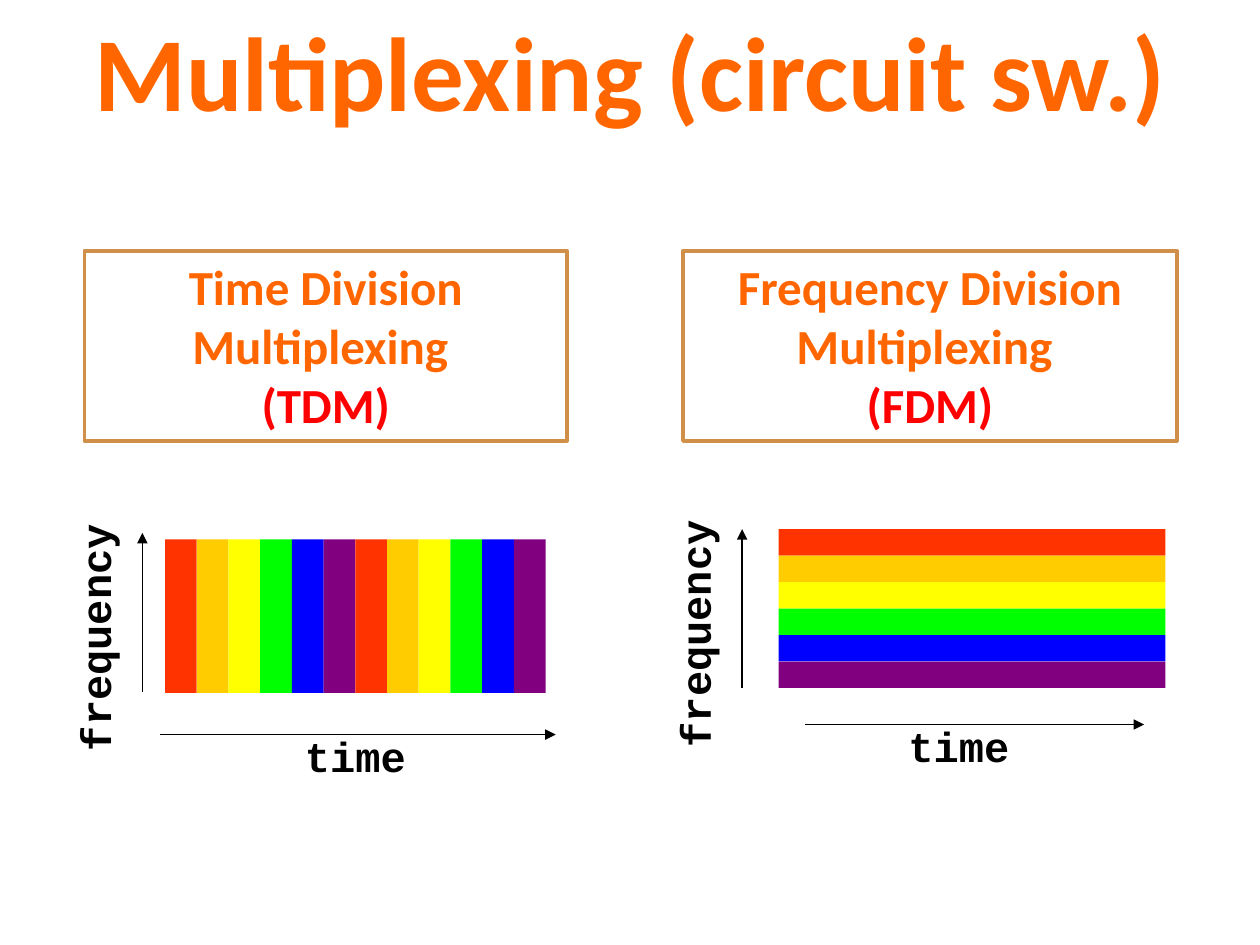
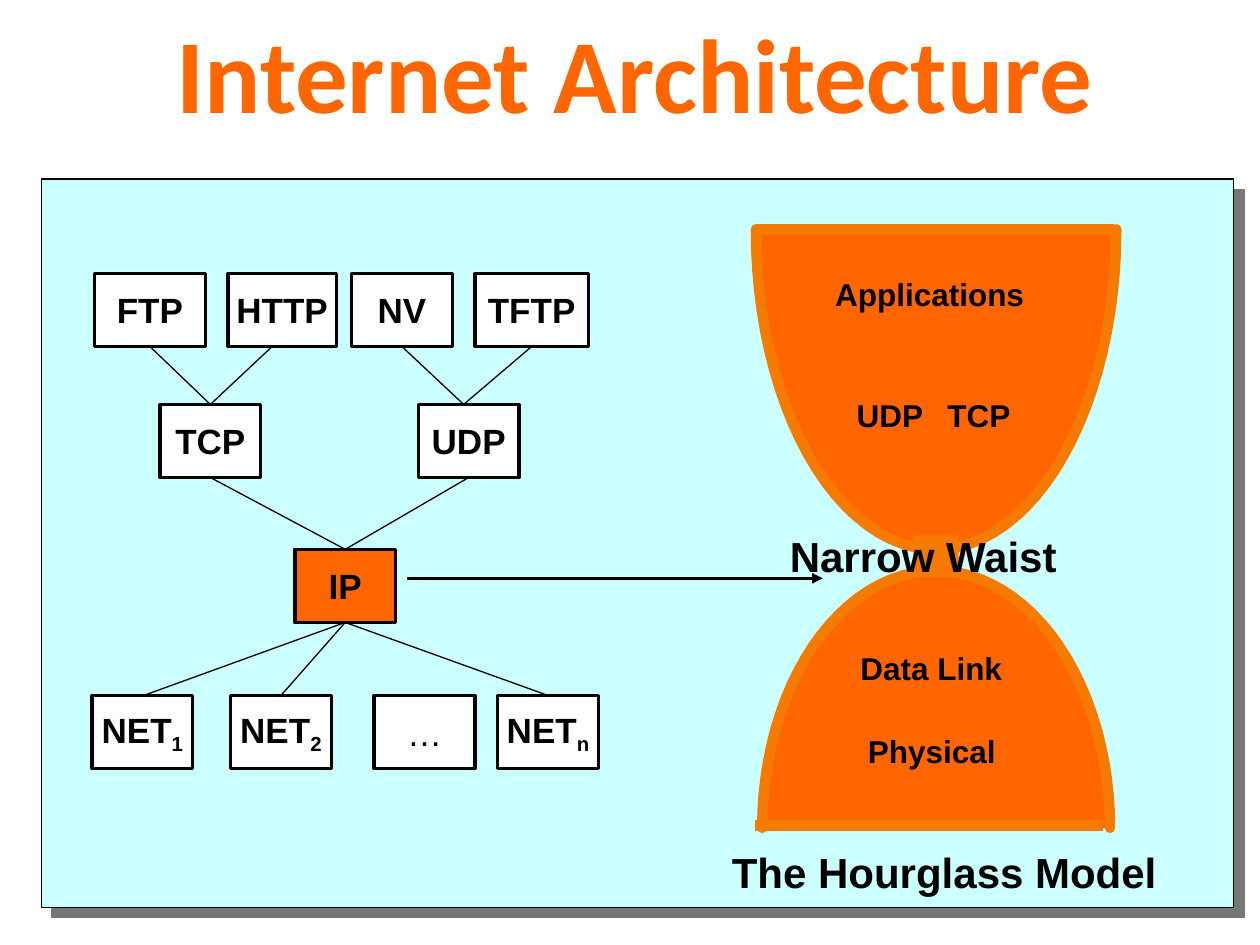
from dataclasses import dataclass
from math import cos, pi, sin

from lxml.etree import SubElement
from pptx import Presentation
from pptx.dml.color import RGBColor
from pptx.enum.shapes import MSO_CONNECTOR, MSO_SHAPE
from pptx.enum.text import MSO_ANCHOR, MSO_AUTO_SIZE, PP_ALIGN
from pptx.oxml.ns import qn
from pptx.util import Inches, Pt


@dataclass(frozen=True)
class Theme:
    orange: str = "FF6600"
    rim: str = "F47A00"
    red: str = "FF0000"
    tan: str = "D19049"
    black: str = "000000"
    white: str = "FFFFFF"
    panel: str = "CCFFFF"
    shadow: str = "777777"
    bands: tuple = ("FF3300", "FFCC00", "FFFF00", "00FF00", "0000FF", "800080")
    heading_font: str = "Calibri"
    axis_font: str = "Courier New"
    diagram_font: str = "Arial"
    title_size: int = 60
    heading_size: int = 28
    large_size: int = 24
    node_size: int = 20
    layer_size: int = 18
    thin: float = 0.75
    medium: float = 2
    thick: float = 6


theme = Theme()


def add_label(slide, text, at, font=theme.diagram_font, size=theme.large_size,
              color=theme.black, last_color=None, bold=True, subscript="",
              align=PP_ALIGN.CENTER, anchor=MSO_ANCHOR.TOP, wrap=False,
              fill=None, line=None, weight=theme.medium, rotation=0, title=False):
    box = [Inches(length) for length in at]
    if title:
        shape = slide.shapes.title
        shape.left, shape.top, shape.width, shape.height = box
    elif fill:
        shape = slide.shapes.add_shape(MSO_SHAPE.RECTANGLE, *box)
        shape.shadow.inherit = False
        shape.fill.solid()
        shape.fill.fore_color.rgb = RGBColor.from_string(fill)
        if line:
            shape.line.color.rgb = RGBColor.from_string(line)
            shape.line.width = Pt(weight)
        else:
            shape.line.fill.background()
    else:
        shape = slide.shapes.add_textbox(*box)
    shape.rotation = rotation
    if not text:
        return shape
    frame = shape.text_frame
    frame.auto_size = MSO_AUTO_SIZE.NONE
    frame.word_wrap = wrap
    frame.vertical_anchor = anchor
    frame.text = text
    for paragraph in frame.paragraphs:
        paragraph.alignment = align
        if subscript:
            paragraph.add_run().text = subscript
            paragraph.runs[-1].font._element.set("baseline", "-25000")
        for run in paragraph.runs:
            run.font.name = font
            run.font.size = Pt(size)
            run.font.bold = bold
            run.font.color.rgb = RGBColor.from_string(color)
    if last_color:
        run.font.color.rgb = RGBColor.from_string(last_color)
    return shape


def add_line(slide, start, end, color=theme.black, weight=theme.thin, arrow=False):
    connector = slide.shapes.add_connector(
        MSO_CONNECTOR.STRAIGHT, *[Inches(length) for length in (*start, *end)])
    connector.line.color.rgb = RGBColor.from_string(color)
    connector.line.width = Pt(weight)
    if arrow:
        SubElement(connector.line._get_or_add_ln(), qn("a:tailEnd"), type="triangle")
    SubElement(connector._element.spPr, qn("a:effectLst"))


presentation = Presentation()
presentation.slide_width = Inches(10)
presentation.slide_height = Inches(7.5)
title_only = presentation.slide_layouts[5]
title_style = dict(font=theme.heading_font, size=theme.title_size,
                   color=theme.orange, wrap=True, title=True)

multiplexing = presentation.slides.add_slide(title_only)
add_label(multiplexing, "Multiplexing (circuit sw.)", (0, 0, 10, 1.11), **title_style)

slot_width = 3.02 / 12
for slot in range(12):
    add_label(multiplexing, "", (1.31 + slot * slot_width, 4.28, slot_width, 1.22),
              fill=theme.bands[slot % len(theme.bands)])
for row, band_color in enumerate(theme.bands):
    add_label(multiplexing, "", (6.18, 4.2 + row * 0.21, 3.07, 0.21), fill=band_color)

axes = [
    ((1.13, 5.49), (1.13, 4.23), "frequency", (-0.25, 4.81, 2, 0.5), 270),
    ((1.27, 5.83), (4.41, 5.83), "time", (2.32, 5.75, 1, 0.5), 0),
    ((5.89, 5.46), (5.89, 4.2), "frequency", (4.51, 4.78, 2, 0.5), 270),
    ((6.39, 5.75), (9.08, 5.75), "time", (7.11, 5.67, 1, 0.5), 0),
]
for start, end, name, at, rotation in axes:
    add_line(multiplexing, start, end, arrow=True)
    add_label(multiplexing, name, at, font=theme.axis_font, rotation=rotation)

for heading, left, width in [
    ("Frequency Division Multiplexing \n(FDM)", 5.42, 3.92),
    ("Time Division Multiplexing \n(TDM)", 0.67, 3.83),
]:
    add_label(multiplexing, heading, (left, 1.99, width, 1.51), font=theme.heading_font,
              size=theme.heading_size, color=theme.orange, last_color=theme.red,
              wrap=True, fill=theme.white, line=theme.tan)

architecture = presentation.slides.add_slide(title_only)
add_label(architecture, "Internet Architecture", (0.25, 0.02, 9.58, 1.11), **title_style)

panel = add_label(architecture, "", (0.33, 1.42, 9.46, 5.78), fill=theme.panel,
                  line=theme.black, weight=theme.thin)
shadow = SubElement(panel._element.spPr.find(qn("a:effectLst")), qn("a:outerShdw"),
                    dist=str(Pt(8.5)), dir="2700000", algn="ctr", rotWithShape="0")
SubElement(shadow, qn("a:srgbClr"), val=theme.shadow)
add_line(architecture, (3.23, 4.59), (6.53, 4.59), weight=theme.medium, arrow=True)

waist_x = 7.43
steps = 48
for base, radius, depth in [(6.57, 1.38, -2.04), (1.82, 1.43, 2.54)]:
    points = [(Inches(waist_x - radius * cos(pi * step / steps)),
               Inches(base + depth * sin(pi * step / steps)))
              for step in range(steps + 1)]
    builder = architecture.shapes.build_freeform(*points[0])
    builder.add_line_segments(points[1:], close=False)
    bulb = builder.convert_to_shape()
    bulb.shadow.inherit = False
    bulb.fill.solid()
    bulb.fill.fore_color.rgb = RGBColor.from_string(theme.orange)
    bulb.line.color.rgb = RGBColor.from_string(theme.rim)
    bulb.line.width = Pt(theme.thick)
    bulb.line._get_or_add_ln().set("cap", "rnd")
for right, y in [(8.84, 1.82), (8.75, 6.55)]:
    add_line(architecture, (5.99, y), (right, y), color=theme.rim, weight=theme.thick)
add_label(architecture, "", (7.25, 4.25, 0.36, 0.33), fill=theme.rim)

for text, at, size in [
    ("UDP", (6.7, 3.09, 0.78, 0.55), theme.layer_size),
    ("TCP", (7.42, 3.09, 0.75, 0.55), theme.layer_size),
    ("Data Link", (6.73, 5.1, 1.42, 0.55), theme.layer_size),
    ("Physical", (6.79, 5.76, 1.3, 0.55), theme.layer_size),
    ("Applications", (6.53, 2.13, 1.82, 0.55), theme.layer_size),
    ("The Hourglass Model", (5.71, 6.67, 3.82, 0.69), theme.large_size),
    ("Narrow Waist", (6.17, 4.16, 2.83, 0.5), theme.large_size),
]:
    add_label(architecture, text, at, size=size, align=PP_ALIGN.LEFT)

node_height = 0.58
application_y, transport_y, internet_y, network_y = 2.17, 3.21, 4.36, 5.52
nodes = [
    ("FTP", "", 0.75, application_y, 0.88),
    ("HTTP", "", 1.81, application_y, 0.86),
    ("NV", "", 2.79, application_y, 0.8),
    ("TFTP", "", 3.77, application_y, 0.9),
    ("TCP", "", 1.27, transport_y, 0.8),
    ("UDP", "", 3.32, transport_y, 0.8),
    ("IP", "", 2.34, internet_y, 0.8),
    ("NET", "1", 0.73, network_y, 0.8),
    ("NET", "2", 1.83, network_y, 0.8),
    ("…", "", 2.97, network_y, 0.8),
    ("NET", "n", 3.95, network_y, 0.8),
]
for name, subscript, left, top, width in nodes:
    add_label(architecture, name, (left, top, width, node_height), size=theme.node_size,
              subscript=subscript, bold=name != "…", anchor=MSO_ANCHOR.MIDDLE,
              fill=theme.orange if name == "IP" else theme.white, line=theme.black)

for upper_y, lower_y, links in [
    (application_y, transport_y, [(1.19, 1.67), (2.16, 1.67), (3.19, 3.68), (4.22, 3.68)]),
    (transport_y, internet_y, [(1.67, 2.74), (3.72, 2.74)]),
    (internet_y, network_y, [(2.74, 4.35), (2.74, 1.14), (2.74, 2.23)]),
]:
    for upper_x, lower_x in links:
        add_line(architecture, (upper_x, upper_y + node_height), (lower_x, lower_y))

presentation.save("out.pptx")
